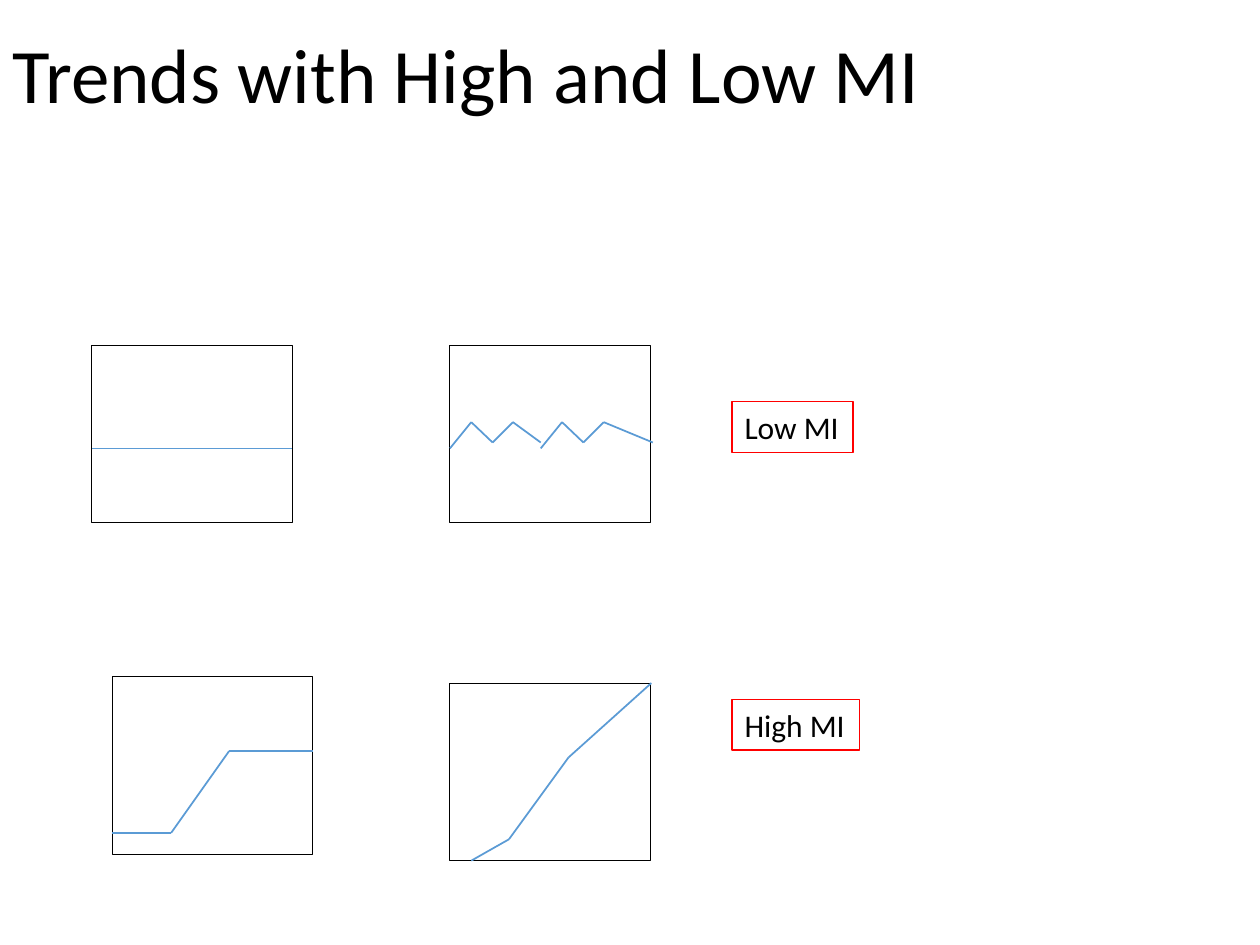
from itertools import pairwise

from lxml.etree import SubElement
from pptx import Presentation
from pptx.dml.color import RGBColor
from pptx.enum.shapes import MSO_CONNECTOR, MSO_SHAPE
from pptx.enum.text import MSO_ANCHOR, MSO_AUTO_SIZE, PP_ALIGN
from pptx.oxml.ns import qn
from pptx.util import Cm, Pt

COLORS = {"text": "000000", "frame": "000000", "trend": "5B9BD5", "label": "FF0000"}
FONT = "Calibri"
FRAME_W, FRAME_H = 4.04, 3.58

# Trend points in cm from the top left corner of their frame
ZIGZAG_Y = [2.08, 1.55, 1.96, 1.55, 1.96]
FLAT = [(0, 2.08), (FRAME_W, 2.08)]
FIRST_ZIGZAG = list(zip([0, 0.43, 0.86, 1.27, 1.83], ZIGZAG_Y))
SECOND_ZIGZAG = list(zip([1.83, 2.26, 2.69, 3.1, 4.09], ZIGZAG_Y))
STEP = [(0, 3.15), (1.19, 3.15), (2.36, 1.5), (FRAME_W, 1.5)]
RISE = [(0.43, FRAME_H), (1.19, 3.15), (2.39, 1.5), (4.06, 0)]

# Left and top of each frame, then its trends
CHARTS = [
    (1.85, 6.96, [FLAT]),
    (9.07, 6.96, [FIRST_ZIGZAG, SECOND_ZIGZAG]),
    (2.26, 13.64, [STEP]),
    (9.07, 13.77, [RISE]),
]
LABELS = [("Low MI", 8.1, 2.44), ("High MI", 14.1, 2.57)]


def color(name):
    return RGBColor.from_string(COLORS[name])


def add_run(paragraph, text, size):
    run = paragraph.add_run()
    run.text = text
    run.font.name = FONT
    run.font.size = Pt(size)
    run.font.color.rgb = color("text")


def set_title(slide, text):
    title = slide.shapes.title
    title.left, title.top, title.width, title.height = Cm(0), Cm(0), Cm(25.4), Cm(3.18)
    title.text_frame.vertical_anchor = MSO_ANCHOR.MIDDLE
    paragraph = title.text_frame.paragraphs[0]
    paragraph.alignment = PP_ALIGN.LEFT
    paragraph.line_spacing = 0.9
    add_run(paragraph, text, 44)


def add_box(slide, left, top, width, height, line_color, line_width):
    box = slide.shapes.add_shape(
        MSO_SHAPE.RECTANGLE, Cm(left), Cm(top), Cm(width), Cm(height))
    box.shadow.inherit = False
    box.fill.background()
    box.line.color.rgb = color(line_color)
    box.line.width = Pt(line_width)
    return box


def add_trend(slide, left, top, points):
    for (x1, y1), (x2, y2) in pairwise(points):
        segment = slide.shapes.add_connector(
            MSO_CONNECTOR.STRAIGHT,
            Cm(left + x1), Cm(top + y1), Cm(left + x2), Cm(top + y2))
        segment.line.color.rgb = color("trend")
        segment.line.width = Pt(1)
        SubElement(segment._element.spPr, qn("a:effectLst"))


def add_label(slide, text, top, width):
    label = add_box(slide, 14.76, top, width, 1.02, "label", 0.75)
    frame = label.text_frame
    frame.word_wrap = False
    frame.auto_size = MSO_AUTO_SIZE.SHAPE_TO_FIT_TEXT
    frame.vertical_anchor = MSO_ANCHOR.TOP
    frame.paragraphs[0].alignment = PP_ALIGN.LEFT
    add_run(frame.paragraphs[0], text, 18)


def main():
    presentation = Presentation()
    presentation.slide_width, presentation.slide_height = Cm(25.4), Cm(19.05)
    slide = presentation.slides.add_slide(presentation.slide_layouts[5])
    set_title(slide, "Trends with High and Low MI")

    # Framed trends
    for left, top, trends in CHARTS:
        add_box(slide, left, top, FRAME_W, FRAME_H, "frame", 0.5)
        for points in trends:
            add_trend(slide, left, top, points)

    # Row labels
    for text, top, width in LABELS:
        add_label(slide, text, top, width)

    presentation.save("out.pptx")


if __name__ == "__main__":
    main()
